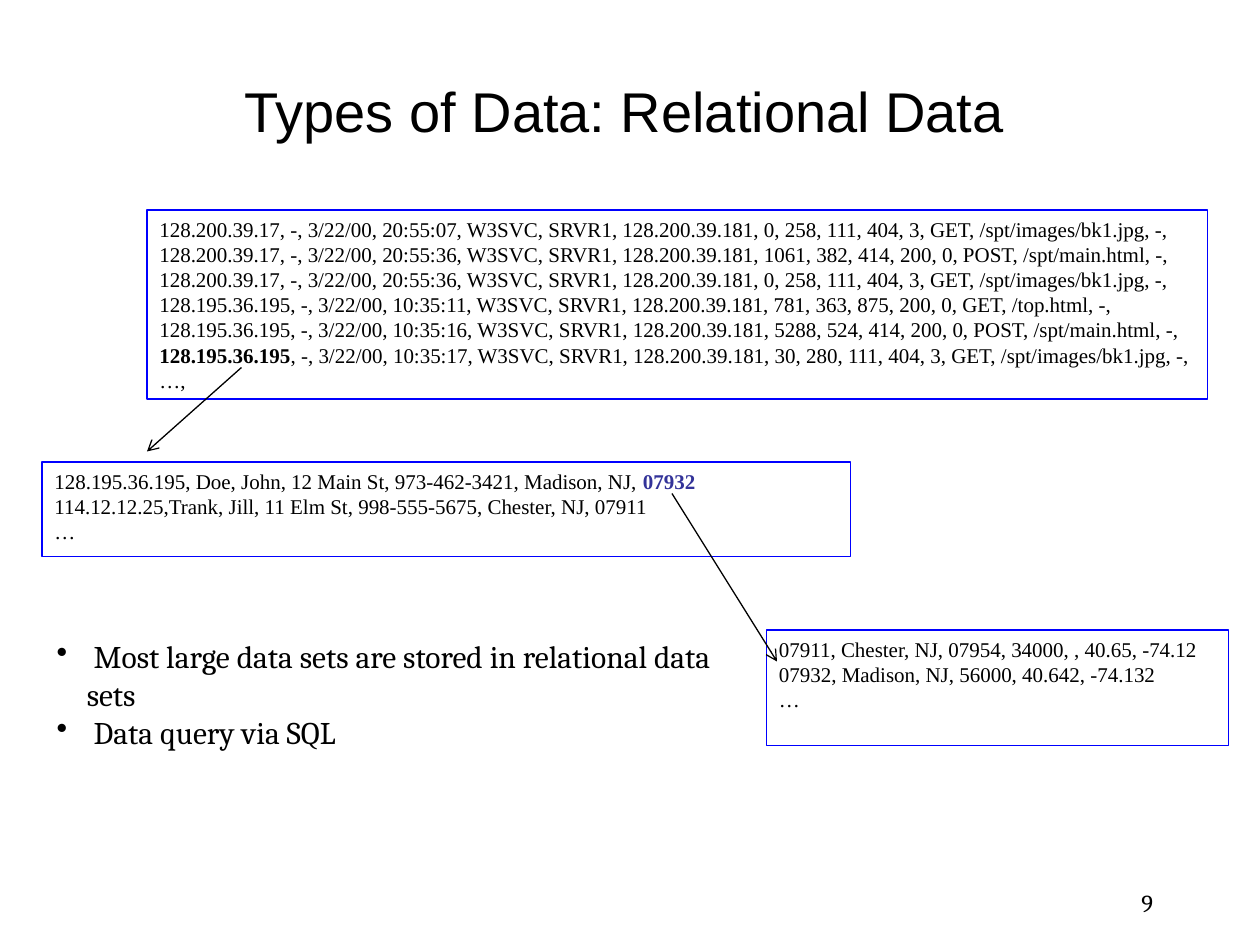
from dataclasses import dataclass

from lxml import etree
from pptx import Presentation
from pptx.dml.color import RGBColor
from pptx.enum.shapes import MSO_CONNECTOR, MSO_SHAPE
from pptx.enum.text import MSO_ANCHOR, PP_ALIGN
from pptx.oxml.ns import qn
from pptx.util import Emu, Inches, Pt

RECT = MSO_SHAPE.RECTANGLE
STRAIGHT = MSO_CONNECTOR.STRAIGHT
TOP, MIDDLE = MSO_ANCHOR.TOP, MSO_ANCHOR.MIDDLE
LEFT, CENTER, RIGHT = PP_ALIGN.LEFT, PP_ALIGN.CENTER, PP_ALIGN.RIGHT
TITLE_ONLY = 5
COLS, ROWS = 120, 90


@dataclass(frozen=True)
class Theme:
    ink: RGBColor = RGBColor(0, 0, 0)
    frame: RGBColor = RGBColor(0, 0, 255)
    key: RGBColor = RGBColor(0x33, 0x33, 0x99)
    title_font: str = "Arial"
    record_font: str = "Times New Roman"
    body_font: str = "Cambria"
    title_size: int = 32
    record_size: int = 12
    body_size: int = 18
    number_size: int = 14
    line_width: float = 0.75
    leading: float = 1.2


@dataclass(frozen=True)
class Area:
    col: float
    row: float
    cols: float
    rows: float


@dataclass(frozen=True)
class Key:
    text: str
    color: RGBColor


@dataclass(frozen=True)
class Records:
    area: Area
    lines: tuple


@dataclass(frozen=True)
class Link:
    start: tuple[float, float]
    end: tuple[float, float]


THEME = Theme()

RECORDS = (
    Records(Area(14, 20, 101, 18), (
        "128.200.39.17, -, 3/22/00, 20:55:07, W3SVC, SRVR1, 128.200.39.181, 0, 258, 111, 404, 3, GET, /spt/images/bk1.jpg, -,",
        "128.200.39.17, -, 3/22/00, 20:55:36, W3SVC, SRVR1, 128.200.39.181, 1061, 382, 414, 200, 0, POST, /spt/main.html, -,",
        "128.200.39.17, -, 3/22/00, 20:55:36, W3SVC, SRVR1, 128.200.39.181, 0, 258, 111, 404, 3, GET, /spt/images/bk1.jpg, -,",
        "128.195.36.195, -, 3/22/00, 10:35:11, W3SVC, SRVR1, 128.200.39.181, 781, 363, 875, 200, 0, GET, /top.html, -,",
        "128.195.36.195, -, 3/22/00, 10:35:16, W3SVC, SRVR1, 128.200.39.181, 5288, 524, 414, 200, 0, POST, /spt/main.html, -,",
        (Key("128.195.36.195", THEME.ink),
         ", -, 3/22/00, 10:35:17, W3SVC, SRVR1, 128.200.39.181, 30, 280, 111, 404, 3, GET, /spt/images/bk1.jpg, -,"),
        "…,",
    )),
    Records(Area(4, 44, 77, 9), (
        ("128.195.36.195, Doe, John, 12 Main St, 973-462-3421, Madison, NJ, ",
         Key("07932", THEME.key)),
        "114.12.12.25,Trank, Jill, 11 Elm St, 998-555-5675, Chester, NJ, 07911",
        "…",
    )),
    Records(Area(73, 60, 44, 11), (
        "07911, Chester, NJ, 07954, 34000, , 40.65, -74.12",
        "07932, Madison, NJ, 56000, 40.642, -74.132",
        "…",
    )),
)
LINKS = (Link((23, 35), (14, 43)), Link((64, 47), (74, 63)))
BULLETS = (
    " Most large data sets are stored in relational data sets",
    " Data query via SQL",
)

prs = Presentation()
prs.slide_width, prs.slide_height = Inches(10), Inches(7.5)


def x(col: float) -> Emu:
    return Emu(round(prs.slide_width * col / COLS))


def y(row: float) -> Emu:
    return Emu(round(prs.slide_height * row / ROWS))


def box(area: Area) -> tuple:
    return x(area.col), y(area.row), x(area.cols), y(area.rows)


def style_run(r, font: str, size: int, color: RGBColor, bold: bool = False) -> None:
    r.font.name, r.font.size, r.font.bold = font, Pt(size), bold
    r.font.color.rgb = color


def set_indent(p, left: float) -> None:
    pPr = p._p.get_or_add_pPr()
    pPr.set("marL", str(Inches(left)))
    pPr.set("indent", str(-Inches(left)))


def paragraphs(tf, count: int) -> list:
    return [tf.paragraphs[0]] + [tf.add_paragraph() for _ in range(count - 1)]


def add_title(s, text: str) -> None:
    sp = s.shapes.title
    sp.left, sp.top, sp.width, sp.height = box(Area(4, 3, 111, 15))
    tf = sp.text_frame
    tf.text, tf.vertical_anchor = text, MIDDLE
    p = tf.paragraphs[0]
    p.alignment = CENTER
    style_run(p.runs[0], THEME.title_font, THEME.title_size, THEME.ink)


def add_records(s, records: Records) -> None:
    sp = s.shapes.add_shape(RECT, *box(records.area))
    sp.shadow.inherit = False
    sp.fill.background()
    sp.line.color.rgb, sp.line.width = THEME.frame, Pt(THEME.line_width)
    tf = sp.text_frame
    tf.word_wrap, tf.vertical_anchor = True, TOP
    for p, line in zip(paragraphs(tf, len(records.lines)), records.lines):
        p.alignment = LEFT
        p.line_spacing = Pt(THEME.record_size * THEME.leading)
        set_indent(p, 0.5)
        for part in (line,) if isinstance(line, str) else line:
            is_key = isinstance(part, Key)
            r = p.add_run()
            r.text = part.text if is_key else part
            style_run(r, THEME.record_font, THEME.record_size,
                      part.color if is_key else THEME.ink, is_key)


def add_link(s, link: Link) -> None:
    (c1, r1), (c2, r2) = link.start, link.end
    cxn = s.shapes.add_connector(STRAIGHT, x(c1), y(r1), x(c2), y(r2))
    cxn.line.color.rgb, cxn.line.width = THEME.ink, Pt(THEME.line_width)
    etree.SubElement(cxn.line._get_or_add_ln(), qn("a:tailEnd"), type="arrow")
    etree.SubElement(cxn._element.spPr, qn("a:effectLst"))


def add_bullets(s, area: Area, items: tuple[str, ...]) -> None:
    tf = s.shapes.add_textbox(*box(area)).text_frame
    tf.word_wrap = True
    for p, item in zip(paragraphs(tf, len(items)), items):
        p.text = item
        p.line_spacing = Pt(THEME.body_size * THEME.leading)
        set_indent(p, 0.24)
        etree.SubElement(p._p.get_or_add_pPr(), qn("a:buChar"), char="•")
        style_run(p.runs[0], THEME.body_font, THEME.body_size, THEME.ink)


def add_number(s, area: Area, text: str) -> None:
    tf = s.shapes.add_textbox(*box(area)).text_frame
    tf.word_wrap, tf.text = True, text
    p = tf.paragraphs[0]
    p.alignment = RIGHT
    style_run(p.runs[0], THEME.body_font, THEME.number_size, THEME.ink)


def main() -> None:
    s = prs.slides.add_slide(prs.slide_layouts[TITLE_ONLY])
    add_title(s, "Types of Data: Relational Data")
    for records in RECORDS:
        add_records(s, records)
    for link in LINKS:
        add_link(s, link)
    add_bullets(s, Area(4.2, 60.1, 67.3, 8.5), BULLETS)
    add_number(s, Area(86, 84, 25, 4), "9")
    prs.save("out.pptx")


if __name__ == "__main__":
    main()
